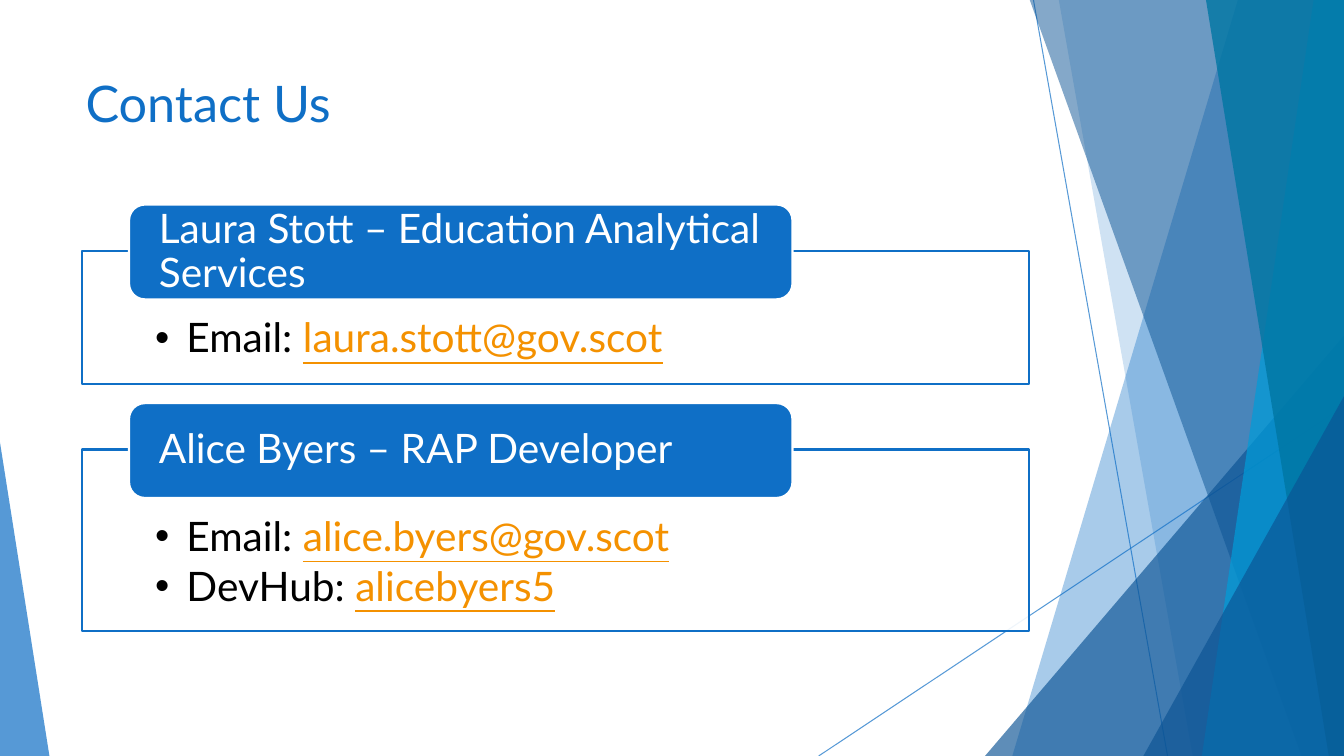
import pptx
import pptx.util
import pptx.dml.color
import pptx.enum.shapes
import pptx.enum.text
import pptx.oxml
import pptx.oxml.ns
from dataclasses import dataclass
from lxml import etree

Inches = pptx.util.Inches
Pt = pptx.util.Pt
Kind = pptx.enum.shapes.MSO_SHAPE
Anchor = pptx.enum.text.MSO_ANCHOR
qn = pptx.oxml.ns.qn

WIDE, HIGH = 13.33, 7.5


@dataclass(frozen=True)
class Theme:
    font: str = "Lato"
    blue: str = "0F6FC6"
    navy: str = "0B5394"
    sky: str = "009DD9"
    teal: str = "0076A3"
    link: str = "F49100"
    white: str = "FFFFFF"
    black: str = "000000"
    title: int = 36
    body: int = 29


class Deck:
    def __init__(self, theme):
        self.theme = theme
        self.file = pptx.Presentation()
        self.file.slide_width = Inches(WIDE)
        self.file.slide_height = Inches(HIGH)
        self.slide = self.file.slides.add_slide(self.file.slide_layouts[6])
        self.shapes = self.slide.shapes

    def tint(self, part, color, alpha=100):
        part.solid()
        part.fore_color.rgb = pptx.dml.color.RGBColor.from_string(color)
        if alpha < 100:
            node = part._xPr.find(qn("a:solidFill"))[0]
            etree.SubElement(node, qn("a:alpha"), val=str(alpha * 1000))

    def paint(self, shape, fill, alpha=100, edge=None):
        shape.shadow.inherit = False
        self.tint(shape.fill, fill, alpha)
        if edge:
            self.tint(shape.line.fill, edge)
            shape.line.width = Pt(1.5)
        else:
            shape.line.fill.background()

    def box(self, kind, place, fill, alpha=100, edge=None):
        shape = self.shapes.add_shape(kind, *map(Inches, place))
        self.paint(shape, fill, alpha, edge)
        return shape

    def wedge(self, place, tip, fill, alpha):
        shape = self.box(Kind.ISOSCELES_TRIANGLE, place, fill, alpha)
        shape.adjustments[0] = tip

    def band(self, top, base, fill, alpha):
        points = [(top, -0.01), (WIDE, -0.01), (WIDE, HIGH), (base, HIGH)]
        first, *rest = [(Inches(x), Inches(y)) for x, y in points]
        pen = self.shapes.build_freeform(*first)
        pen.add_line_segments(rest, close=True)
        self.paint(pen.convert_to_shape(), fill, alpha)

    def line(self, *ends):
        line = self.shapes.add_connector(
            pptx.enum.shapes.MSO_CONNECTOR.STRAIGHT, *map(Inches, ends))
        self.tint(line.line.fill, self.theme.blue, 70)
        line.line.width = Pt(0.75)
        etree.SubElement(line._element.spPr, qn("a:effectLst"))

    def frame(self, shape, insets, anchor=Anchor.TOP):
        frame = shape.text_frame
        frame.word_wrap = True
        frame.vertical_anchor = anchor
        (frame.margin_left, frame.margin_top,
         frame.margin_right, frame.margin_bottom) = map(Inches, insets)
        return frame

    def run(self, para, text, size, color, under=False):
        run = para.add_run()
        run.text = text
        run.font.name = self.theme.font
        run.font.size = Pt(size)
        run.font.underline = under
        self.tint(run.font.fill, color)

    def space(self, para, after):
        para.alignment = pptx.enum.text.PP_ALIGN.LEFT
        para.line_spacing = 0.9
        para.space_after = Pt(after)

    def bullet(self, para):
        props = para._p.get_or_add_pPr()
        props.set("marL", str(Inches(0.31)))
        props.set("indent", str(-Inches(0.31)))
        etree.SubElement(props, qn("a:buFont"), typeface="Arial")
        etree.SubElement(props, qn("a:buChar"), char="•")

    def title(self, text):
        box = self.shapes.add_textbox(*map(Inches, (0.75, 0.67, 9.34, 0.78)))
        frame = self.frame(box, (0.1, 0.05, 0.1, 0.05))
        self.run(frame.paragraphs[0], text, self.theme.title, self.theme.blue)

    def card(self, top, high, name, items):
        look = self.theme
        panel = self.box(Kind.RECTANGLE, (0.81, top, 9.4, high),
                         look.white, 90, look.blue)
        frame = self.frame(panel, (0.73, 0.66, 0.73, 0.23))
        for place, (label, link) in enumerate(items):
            para = frame.add_paragraph() if place else frame.paragraphs[0]
            self.space(para, 4.35)
            self.bullet(para)
            self.run(para, label + ": ", look.body, look.black)
            self.run(para, link, look.body, look.link, True)
        head = self.box(Kind.ROUNDED_RECTANGLE, (1.28, top - 0.46, 6.58, 0.94),
                        look.blue, edge=look.white)
        para = self.frame(head, (0.25, 0, 0.25, 0), Anchor.MIDDLE).paragraphs[0]
        self.space(para, 10.15)
        self.run(para, name, look.body, look.white)


def main():
    theme = Theme()
    deck = Deck(theme)
    deck.line(10.25, 0, 11.58, HIGH)
    deck.line(WIDE, 4.03, 8.12, HIGH)
    deck.band(12.28, 10.04, theme.blue, 36)
    deck.band(10.5, 11.83, theme.blue, 20)
    deck.wedge((9.77, 3.33, 3.56, 4.17), 1, theme.navy, 66)
    deck.band(10.21, 12.91, theme.navy, 50)
    deck.band(13.03, 11.92, theme.sky, 70)
    deck.band(11.96, 13.18, theme.teal, 80)
    deck.wedge((11.34, 3.93, 1.99, 3.57), 1, theme.navy, 66)
    deck.wedge((0, 4.39, 0.49, 3.11), 0, theme.blue, 70)

    deck.title("Contact Us")
    deck.card(2.49, 1.32, "Laura Stott – Education Analytical Services",
              [("Email", "laura.stott@gov.scot")])
    deck.card(4.46, 1.8, "Alice Byers – RAP Developer",
              [("Email", "alice.byers@gov.scot"), ("DevHub", "alicebyers5")])
    deck.file.save("out.pptx")


if __name__ == "__main__":
    main()
